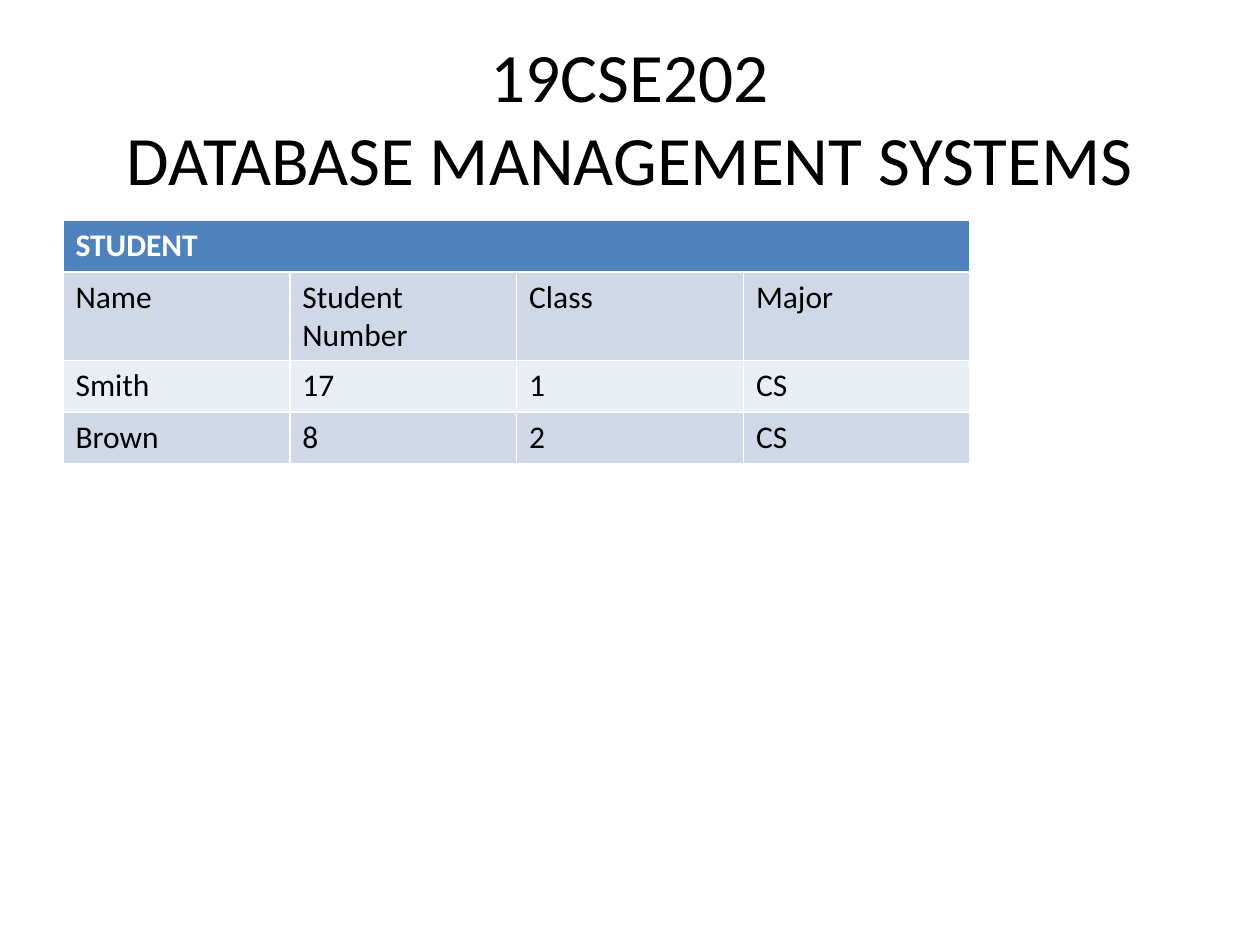
from pptx import Presentation
from pptx.dml.color import RGBColor
from pptx.enum.text import MSO_ANCHOR, PP_ALIGN
from pptx.util import Inches, Pt

TITLE = "19CSE202\nDATABASE MANAGEMENT SYSTEMS"
ROWS = [
    ["STUDENT", "", "", ""],
    ["Name", "Student Number", "Class", "Major"],
    ["Smith", "17", "1", "CS"],
    ["Brown", "8", "2", "CS"],
]
FILLS = ["4F81BD", "D0D8E8", "E9EDF4", "D0D8E8"]


def paint(target, color):
    target.rgb = RGBColor.from_string(color)


def style(para, size, color, bold=False):
    font = para.font
    font.name = "Calibri"
    font.size = Pt(size)
    font.bold = bold
    paint(font.color, color)


def add_title(slide, text):
    box = slide.shapes.add_textbox(Inches(0.5), Inches(0.3), Inches(9), Inches(1.25))
    frame = box.text_frame
    frame.word_wrap = True
    frame.vertical_anchor = MSO_ANCHOR.MIDDLE
    para = frame.paragraphs[0]
    para.text = text
    para.alignment = PP_ALIGN.CENTER
    style(para, 39.6, "000000")


def add_grid(slide, rows, fills):
    count = len(rows[0])
    frame = slide.shapes.add_table(
        len(rows), count, Inches(0.5), Inches(1.75),
        Inches(1.8 * count), Inches(0.41 * len(rows)))
    table = frame.table
    for r, (row, fill) in enumerate(zip(rows, fills)):
        head = r == 0
        for c, text in enumerate(row):
            cell = table.cell(r, c)
            cell.fill.solid()
            paint(cell.fill.fore_color, fill)
            para = cell.text_frame.paragraphs[0]
            para.text = text
            style(para, 18, "FFFFFF" if head else "000000", head)
    table.cell(0, 0).merge(table.cell(0, count - 1))


def main():
    deck = Presentation()
    deck.slide_width = Inches(10)
    deck.slide_height = Inches(7.5)
    slide = deck.slides.add_slide(deck.slide_layouts[6])
    add_title(slide, TITLE)
    add_grid(slide, ROWS, FILLS)
    deck.save("out.pptx")


if __name__ == "__main__":
    main()
